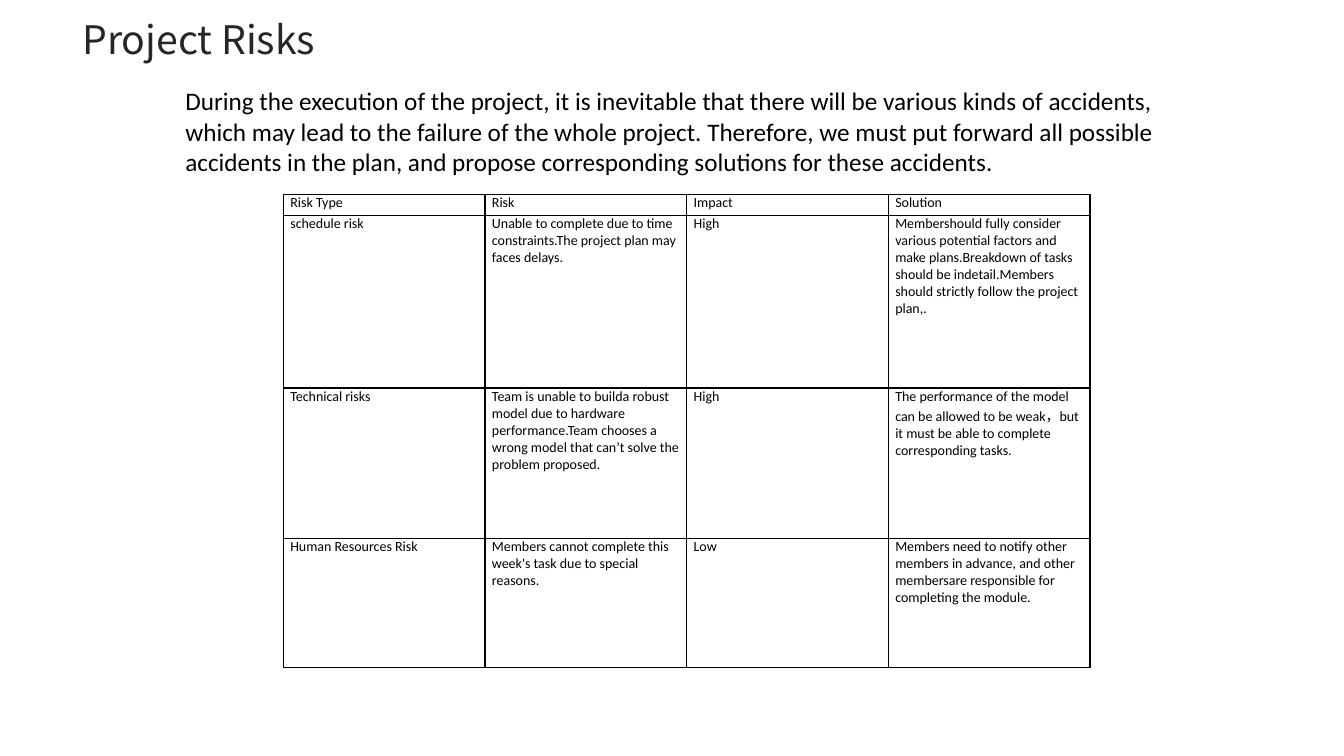
from lxml import etree
from pptx import Presentation
from pptx.dml.color import RGBColor
from pptx.enum.text import MSO_ANCHOR, PP_ALIGN
from pptx.oxml.ns import qn
from pptx.util import Inches, Pt

TITLE = "Project Risks"
INTRO = (
    "During the execution of the project, it is inevitable that there will be "
    "various kinds of accidents, which may lead to the failure of the whole "
    "project. Therefore, we must put forward all possible accidents in the plan, "
    "and propose corresponding solutions for these accidents."
)
RISKS = [
    ("Risk Type", "Risk", "Impact", "Solution"),
    ("schedule risk",
     "Unable to complete due to time constraints.The project plan may faces delays.",
     "High",
     "Membershould fully consider various potential factors and make plans."
     "Breakdown of tasks should be indetail."
     "Members should strictly follow the project plan,."),
    ("Technical risks",
     "Team is unable to builda robust model due to hardware performance."
     "Team chooses a wrong model that can’t solve the problem proposed.",
     "High",
     "The performance of the model can be allowed to be weak，"
     "but it must be able to complete corresponding tasks."),
    ("Human Resources Risk",
     "Members cannot complete this week's task due to special reasons.",
     "Low",
     "Members need to notify other members in advance, and other "
     "membersare responsible for completing the module."),
]
ROW_HEIGHTS = [0.21, 1.71, 1.49, 1.28]
COL_WIDTH = 2
BORDER = "080000"


def set_font(p, name, size, color):
    p.font.name = name
    p.font.size = Pt(size)
    p.font.color.rgb = RGBColor.from_string(color)


def place(s, left, top, width, height):
    s.left, s.top = Inches(left), Inches(top)
    s.width, s.height = Inches(width), Inches(height)


def add_borders(cell):
    """Draw a 1 pt line on each side; call before setting the fill."""
    tcPr = cell._tc.get_or_add_tcPr()
    for side in ("a:lnL", "a:lnR", "a:lnT", "a:lnB"):
        ln = etree.SubElement(tcPr, qn(side), w=str(Pt(1)))
        fill = etree.SubElement(ln, qn("a:solidFill"))
        etree.SubElement(fill, qn("a:srgbClr"), val=BORDER)


prs = Presentation()
prs.slide_width, prs.slide_height = Inches(13.33), Inches(7.5)
slide = prs.slides.add_slide(prs.slide_layouts[5])

# Title
title = slide.shapes.title
place(title, 0, 0.1, 3.94, 0.57)
tf = title.text_frame
tf.text = TITLE
tf.word_wrap = True
tf.vertical_anchor = MSO_ANCHOR.TOP
tf.paragraphs[0].alignment = PP_ALIGN.CENTER
set_font(tf.paragraphs[0], "Noto Sans CJK SC", 28, "262626")

# Introduction
intro = slide.shapes.add_textbox(Inches(1.74), Inches(0.8), Inches(10.08), Inches(1.01))
tf = intro.text_frame
tf.text = INTRO
tf.word_wrap = True
set_font(tf.paragraphs[0], "Calibri", 18, "000000")

# Risk table
cols = len(RISKS[0])
frame = slide.shapes.add_table(
    len(RISKS), cols, Inches(2.81), Inches(1.93),
    Inches(cols * COL_WIDTH), Inches(sum(ROW_HEIGHTS)))
table = frame.table
table.first_row = table.horz_banding = False
for col in table.columns:
    col.width = Inches(COL_WIDTH)
for row, height, texts in zip(table.rows, ROW_HEIGHTS, RISKS):
    row.height = Inches(height)
    for cell, text in zip(row.cells, texts):
        cell.text = text
        cell.margin_left = cell.margin_right = Inches(0.07)
        cell.margin_top = cell.margin_bottom = 0
        add_borders(cell)
        cell.fill.background()
        set_font(cell.text_frame.paragraphs[0], "Calibri", 10, "000000")

prs.save("out.pptx")
